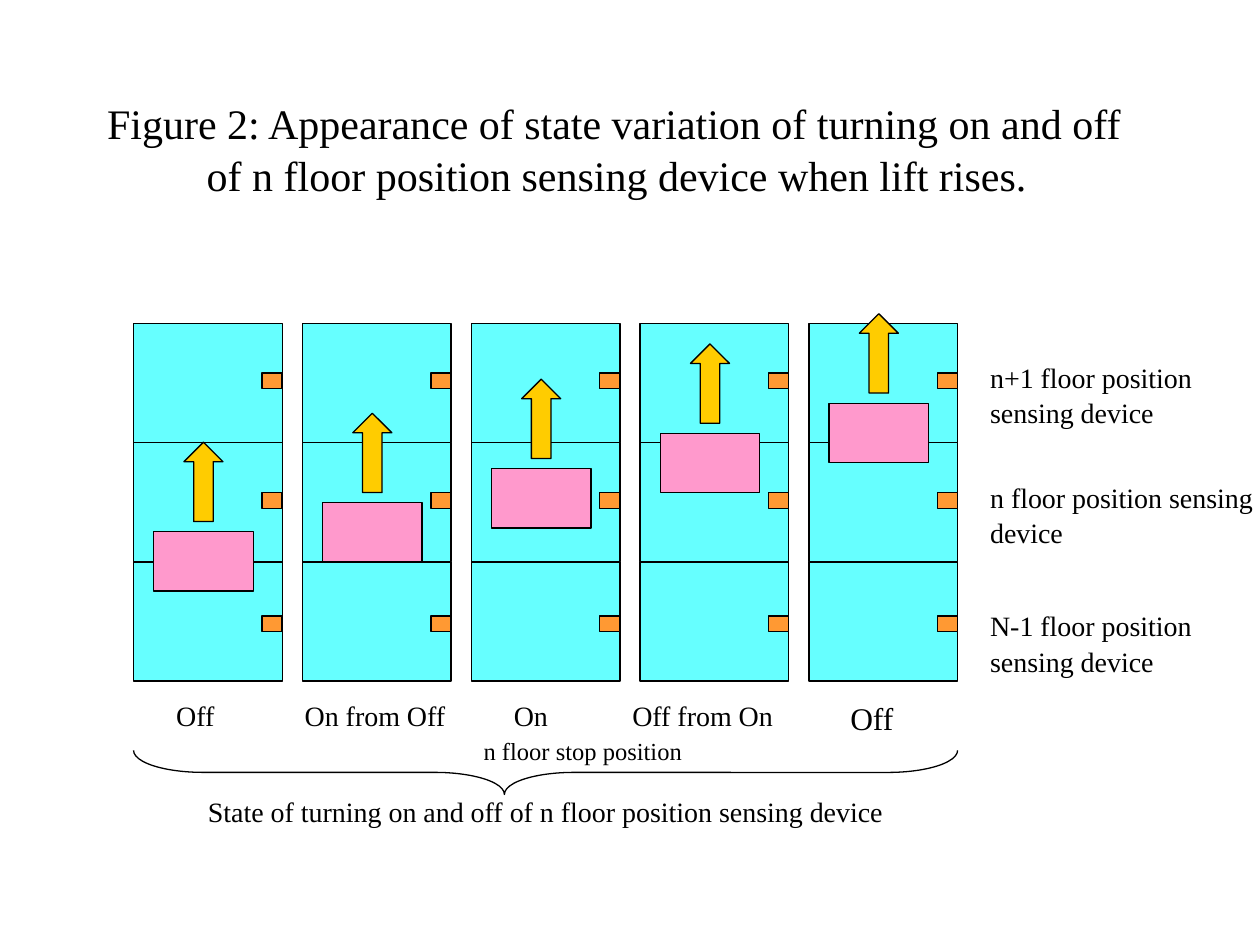
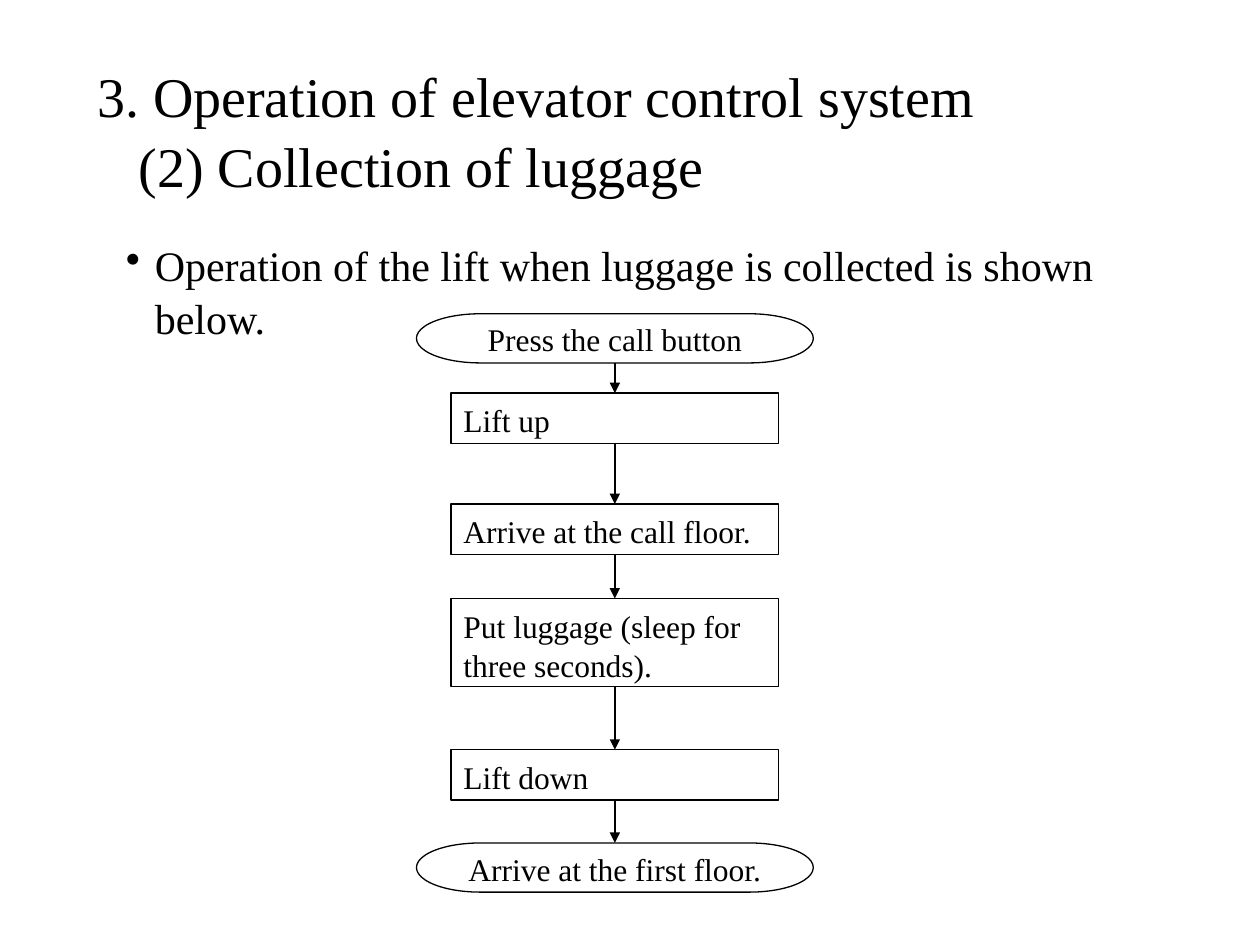
from lxml.etree import SubElement
from pptx import Presentation
from pptx.dml.color import RGBColor
from pptx.enum.shapes import MSO_CONNECTOR, MSO_SHAPE
from pptx.enum.text import MSO_ANCHOR, MSO_AUTO_SIZE, PP_ALIGN
from pptx.oxml.ns import qn
from pptx.util import Inches, Pt

COLORS = {
    "ink": "000000",
    "shaft": "66FFFF",
    "sensor": "FF9933",
    "car": "FF99CC",
    "arrow": "FFCC00",
}
FONT = "Times New Roman"
COLUMNS, ROWS = 100, 75
TOP, BOTTOM = 0, 2  # connection sites of boxes


def rgb(name):
    return RGBColor.from_string(COLORS[name])


def write_text(frame, text, size=16, align=PP_ALIGN.LEFT, anchor=MSO_ANCHOR.TOP,
               wrap=True, margin=0, indent=0, bullet=None):
    """Fill a text frame, one paragraph per line; margin and indent are inches."""
    frame.word_wrap = wrap
    frame.auto_size = MSO_AUTO_SIZE.NONE
    frame.vertical_anchor = anchor
    for number, line in enumerate(text.split("\n")):
        paragraph = frame.paragraphs[0] if number == 0 else frame.add_paragraph()
        paragraph.alignment = align
        paragraph.line_spacing = 1.05
        run = paragraph.add_run()
        run.text = line
        run.font.name = FONT
        run.font.size = Pt(size)
        run.font.color.rgb = rgb("ink")
        properties = paragraph._p.get_or_add_pPr()
        properties.set("marL", str(Inches(margin)))
        properties.set("indent", str(Inches(indent)))
        if bullet:
            SubElement(properties, qn("a:buChar"), char=bullet)
    return frame


class Deck:
    """Holds the style and the current slide; boxes are (left, top, width, height) in grid cells."""

    def __init__(self):
        self.presentation = Presentation()
        self.presentation.slide_width = Inches(10)
        self.presentation.slide_height = Inches(7.5)
        self.column = self.presentation.slide_width // COLUMNS
        self.row = self.presentation.slide_height // ROWS
        self.slide = None

    def place(self, box):
        left, top, width, height = box
        return (round(left * self.column), round(top * self.row),
                round(width * self.column), round(height * self.row))

    def add_slide(self, title, box, **text_format):
        self.slide = self.presentation.slides.add_slide(self.presentation.slide_layouts[5])
        shape = self.slide.shapes.title
        shape.left, shape.top, shape.width, shape.height = self.place(box)
        return write_text(shape.text_frame, title, anchor=MSO_ANCHOR.MIDDLE, **text_format)

    def text(self, text, box, **text_format):
        shape = self.slide.shapes.add_textbox(*self.place(box))
        write_text(shape.text_frame, text, **text_format)

    def outline(self, line):
        line.color.rgb = rgb("ink")
        line.width = Pt(0.75)

    def shape(self, kind, box, fill=None):
        shape = self.slide.shapes.add_shape(kind, *self.place(box))
        shape.shadow.inherit = False
        if fill:
            shape.fill.solid()
            shape.fill.fore_color.rgb = rgb(fill)
        else:
            shape.fill.background()
        self.outline(shape.line)
        return shape

    def link(self, upper, lower):
        """Draw an arrow from the bottom of one box to the top of the next."""
        connector = self.slide.shapes.add_connector(MSO_CONNECTOR.STRAIGHT, 0, 0, 0, 0)
        connector.begin_connect(upper, BOTTOM)
        connector.end_connect(lower, TOP)
        self.outline(connector.line)
        SubElement(connector.line._get_or_add_ln(), qn("a:tailEnd"), type="triangle")
        SubElement(connector._element.spPr, qn("a:effectLst"))


def draw_shaft(deck, left, car_top):
    width, floor_height, sensor_width = 11.8, 9.45, 1.6
    for floor in range(3):
        deck.shape(MSO_SHAPE.RECTANGLE,
                   (left, 25.7 + floor * floor_height, width, floor_height), "shaft")
    for sensor_top in (29.6, 39.1, 48.9):
        deck.shape(MSO_SHAPE.RECTANGLE,
                   (left + width - sensor_width, sensor_top, sensor_width, 1.25), "sensor")
    deck.shape(MSO_SHAPE.RECTANGLE, (left + 1.6, car_top, 7.9, 4.7), "car")
    deck.shape(MSO_SHAPE.UP_ARROW, (left + 4, car_top - 7.1, 3.1, 6.3), "arrow")


def build_state_slide(deck):
    deck.add_slide(
        "Figure 2: Appearance of state variation of turning on and off of n floor "
        "position sensing device when lift rises.",
        (7.5, 6.7, 85, 10), size=24, margin=0.79, indent=-0.79)

    for number, car_top in enumerate((42.2, 39.9, 37.2, 34.4, 32)):
        draw_shaft(deck, 10.6 + 13.4 * number, car_top)

    for floor, top in (("n+1", 28), ("n", 37.5), ("N-1", 47.7)):
        deck.text(f"{floor} floor position sensing device", (77.6, top, 23.6, 6.4))

    states = (("Off", 13, 16), ("On from Off", 23.2, 16), ("On", 39.8, 16),
              ("Off from On", 49.2, 16), ("Off", 66.5, 18))
    for state, left, size in states:
        deck.text(state, (left, 54.8, 15, 4), size=size)
    deck.text("n floor stop position", (37.4, 57.8, 24.3, 3.4), size=14)

    brace = deck.shape(MSO_SHAPE.RIGHT_BRACE, (41.55, 28.6, 3.5, 65.4))
    brace.rotation = 90
    brace.adjustments[0] = 1.57
    brace.adjustments[1] = 0.55
    deck.text("State of turning on and off of n floor position sensing device",
              (10.6, 62.4, 65.4, 3.7), align=PP_ALIGN.CENTER)


def build_luggage_slide(deck):
    title = deck.add_slide(
        "3. Operation of elevator control system\n(2) Collection of luggage",
        (6.7, 5.2, 85, 10), size=32)
    title.paragraphs[1]._p.pPr.set("marL", str(Inches(0.33)))
    deck.text("Operation of the lift when luggage is collected is shown below.",
              (9, 18.3, 86.9, 9), size=24, margin=0.23, indent=-0.23, bullet="•")

    center = 48.8
    terminator, step = MSO_SHAPE.FLOWCHART_TERMINATOR, MSO_SHAPE.RECTANGLE
    flow = (
        (terminator, "Press the call button", 24.9, 3.9),
        (step, "Lift up", 31.2, 4),
        (step, "Arrive at the call floor.", 40, 4),
        (step, "Put luggage (sleep for three seconds).", 47.5, 7),
        (step, "Lift down", 59.5, 4),
        (terminator, "Arrive at the first floor.", 66.9, 3.9),
    )
    boxes = []
    for kind, text, top, height in flow:
        is_end = kind == terminator
        width = 31.5 if is_end else 26
        box = deck.shape(kind, (center - width / 2, top, width, height))
        write_text(box.text_frame, text, size=18, wrap=not is_end,
                   align=PP_ALIGN.CENTER if is_end else PP_ALIGN.LEFT,
                   anchor=MSO_ANCHOR.MIDDLE if is_end else MSO_ANCHOR.TOP)
        boxes.append(box)
    for upper, lower in zip(boxes, boxes[1:]):
        deck.link(upper, lower)


def main():
    deck = Deck()
    build_state_slide(deck)
    build_luggage_slide(deck)
    deck.presentation.save("out.pptx")


if __name__ == "__main__":
    main()
